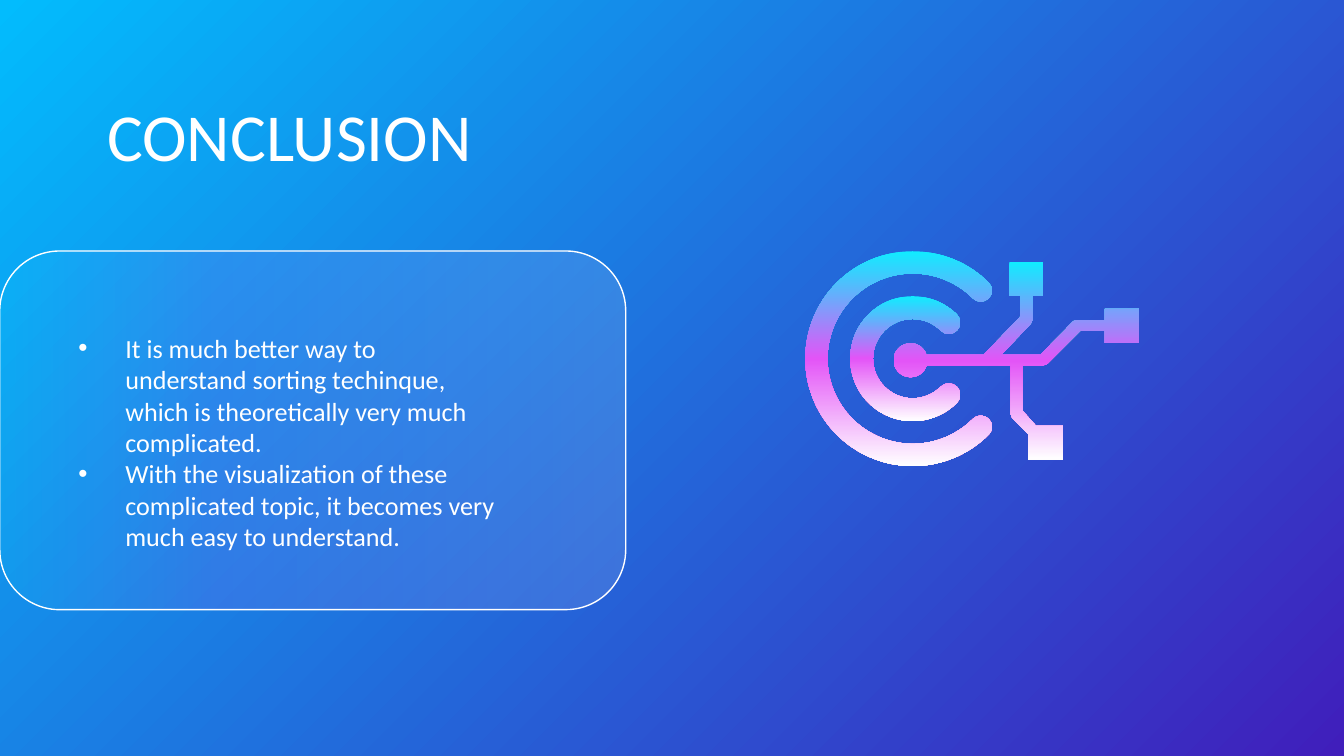
from dataclasses import dataclass
from math import cos, radians, sin, tan

from lxml.etree import SubElement
from pptx import Presentation
from pptx.dml.color import RGBColor
from pptx.enum.shapes import MSO_SHAPE
from pptx.enum.text import MSO_ANCHOR
from pptx.oxml.ns import qn
from pptx.util import Cm, Pt


@dataclass(frozen=True)
class Theme:
    font: str = "Calibri"
    white: str = "FFFFFF"
    title_size: int = 36
    body_size: int = 14
    line_width: float = 0.75
    background: tuple = ((0, "401EBB"), (100, "02BCFD"))
    icon: tuple = ((0, "10ECFF"), (50, "E354F7"), (100, "FFFFFF"))
    panel: tuple = ((0, "FFFFFF"), (66, "E354F7"), (100, "10ECFF"))
    panel_opacity: int = 11


def paint_gradient(fill, element, stops, angle, opacity=100):
    fill.gradient()
    fill.gradient_angle = 360 - angle
    stop_list = next(element.iter(qn("a:gsLst")))
    for stop in list(stop_list):
        stop_list.remove(stop)
    for position, color in stops:
        stop = SubElement(stop_list, qn("a:gs"), pos=str(position * 1000))
        value = SubElement(stop, qn("a:srgbClr"), val=color)
        if opacity < 100:
            SubElement(value, qn("a:alpha"), val=str(opacity * 1000))


def write_paragraph(para, text, *, font, size, color, bullet=None):
    span = para.add_run()
    span.text = text
    span.font.name = font
    span.font.size = Pt(size)
    span.font.color.rgb = RGBColor.from_string(color)
    if bullet:
        properties = para._p.get_or_add_pPr()
        properties.set("marL", str(Cm(1.27)))
        properties.set("indent", str(Cm(-0.89)))
        bullet_color = SubElement(properties, qn("a:buClr"))
        SubElement(bullet_color, qn("a:srgbClr"), val=color)
        SubElement(properties, qn("a:buFont"), typeface="Arial")
        SubElement(properties, qn("a:buChar"), char=bullet)


def polar(center, radius, degrees):
    angle = radians(degrees)
    return center[0] + radius * cos(angle), center[1] + radius * sin(angle)


def arc(center, radius, start, end, count):
    step = (end - start) / count
    pull = 4 / 3 * tan(radians(step) / 4) * radius
    curves = []
    for index in range(count):
        first, last = start + index * step, start + (index + 1) * step
        begin, finish = polar(center, radius, first), polar(center, radius, last)
        curves.append((
            polar(begin, pull, first + 90), polar(finish, -pull, last + 90), finish,
        ))
    return curves


def open_ring(center, outer, inner, gap=45):
    middle, cap = (outer + inner) / 2, (outer - inner) / 2
    return polar(center, outer, gap), (
        arc(center, outer, gap, 360 - gap, 6)
        + arc(polar(center, middle, -gap), cap, -gap, 180 - gap, 2)
        + arc(center, inner, 360 - gap, gap, 6)
        + arc(polar(center, middle, gap), cap, 180 + gap, 360 + gap, 2)
    )


def lines(*points):
    return [(point,) for point in points]


def circuit():
    lower_branch = lines((20.09, 8.05), (19.58, 8.05), (19.33, 7.77), (19.33, 6.91))
    right_branch = lines(
        (19.71, 6.91), (19.79, 6.88), (20.42, 6.25), (20.88, 6.25), (20.88, 6.48),
        (21.53, 6.48), (21.53, 5.84), (20.88, 5.84), (20.88, 6.05), (20.37, 6.05),
        (20.29, 6.07), (19.66, 6.71), (18.92, 6.71),
    )
    upper_branch = lines(
        (19.48, 6.12), (19.51, 6.05), (19.51, 5.59), (19.71, 5.59), (19.71, 4.95),
        (19.08, 4.95), (19.08, 5.59), (19.28, 5.59), (19.28, 5.99), (18.59, 6.71),
        (17.51, 6.71),
    )
    node = arc((17.21, 6.81), 0.32, -18, -342, 4)
    return_path = lines(
        (19.1, 6.91), (19.1, 7.82), (19.13, 7.9), (19.43, 8.2), (19.43, 8.69)
    )
    return (20.09, 8.69), lower_branch + right_branch + upper_branch + node + return_path


class SlideBuilder:
    def __init__(self, page, theme):
        self.page = page
        self.theme = theme

    def background(self):
        fill = self.page.background.fill
        paint_gradient(fill, self.page._element, self.theme.background, 225)

    def panel(self, left, top, width, height):
        box = self.page.shapes.add_shape(
            MSO_SHAPE.ROUNDED_RECTANGLE, Cm(left), Cm(top), Cm(width), Cm(height)
        )
        box.rotation = 90
        box.adjustments[0] = 0.167
        box.shadow.inherit = False
        paint_gradient(
            box.fill, box._element, self.theme.panel, 90, self.theme.panel_opacity
        )
        box.line.color.rgb = RGBColor.from_string(self.theme.white)
        box.line.width = Pt(self.theme.line_width)

    def text(self, left, top, width, height, paragraphs, size, bullet=None):
        box = self.page.shapes.add_textbox(Cm(left), Cm(top), Cm(width), Cm(height))
        frame = box.text_frame
        frame.word_wrap = True
        frame.vertical_anchor = MSO_ANCHOR.TOP
        frame.margin_left = frame.margin_right = Cm(0.25)
        frame.margin_top = frame.margin_bottom = Cm(0.25)
        for index, text in enumerate(paragraphs):
            para = frame.add_paragraph() if index else frame.paragraphs[0]
            write_paragraph(
                para, text, font=self.theme.font, size=size,
                color=self.theme.white, bullet=bullet,
            )

    def outline(self, start, segments):
        builder = self.page.shapes.build_freeform(Cm(start[0]), Cm(start[1]))
        points = [(Cm(x), Cm(y)) for segment in segments for x, y in segment]
        builder.add_line_segments(points, close=True)
        shape = builder.convert_to_shape()
        steps = iter(list(shape._element.iter(qn("a:lnTo"))))
        for segment in segments:
            first = next(steps)
            if len(segment) == 3:
                first.tag = qn("a:cubicBezTo")
                for extra in (next(steps), next(steps)):
                    first.append(extra[0])
                    extra.getparent().remove(extra)
        shape.shadow.inherit = False
        shape.line.fill.background()
        paint_gradient(shape.fill, shape._element, self.theme.icon, 90)


def main():
    deck = Presentation()
    deck.slide_width, deck.slide_height = Cm(25.4), Cm(14.29)
    theme = Theme()
    slide = SlideBuilder(deck.slides.add_slide(deck.slide_layouts[6]), theme)

    slide.background()
    slide.panel(2.52, 2.22, 6.78, 11.83)
    slide.text(1.78, 1.53, 7.95, 3.43, ["CONCLUSION"], theme.title_size)
    conclusions = [
        "It is much better way to understand sorting techinque, "
        "which is theoretically very much complicated.",
        "With the visualization of these complicated topic, "
        "it becomes very much easy to understand.",
    ]
    slide.text(0.85, 6.03, 8.89, 3.86, conclusions, theme.body_size, bullet="•")

    center = (17.25, 6.78)
    for outer, inner in ((2.03, 1.61), (1.18, 0.75)):
        slide.outline(*open_ring(center, outer, inner))
    slide.outline(*circuit())

    deck.save("out.pptx")


if __name__ == "__main__":
    main()
